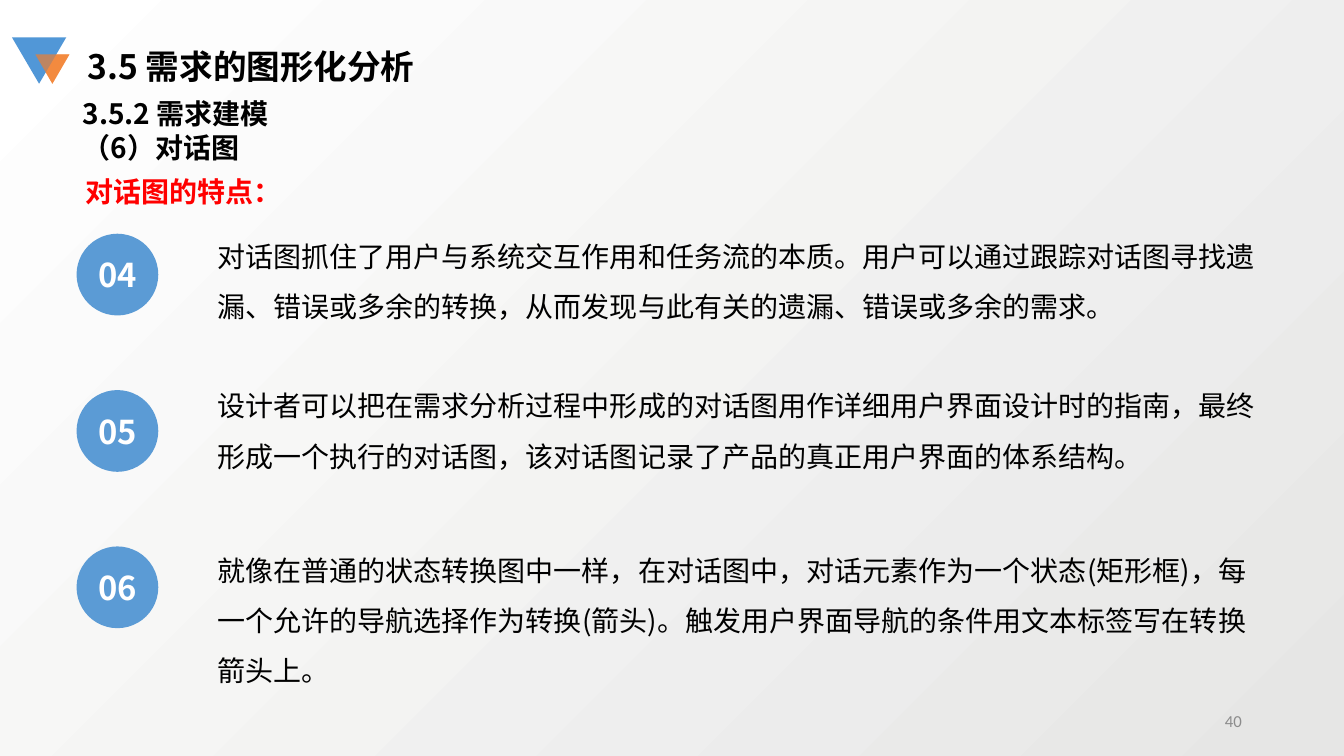
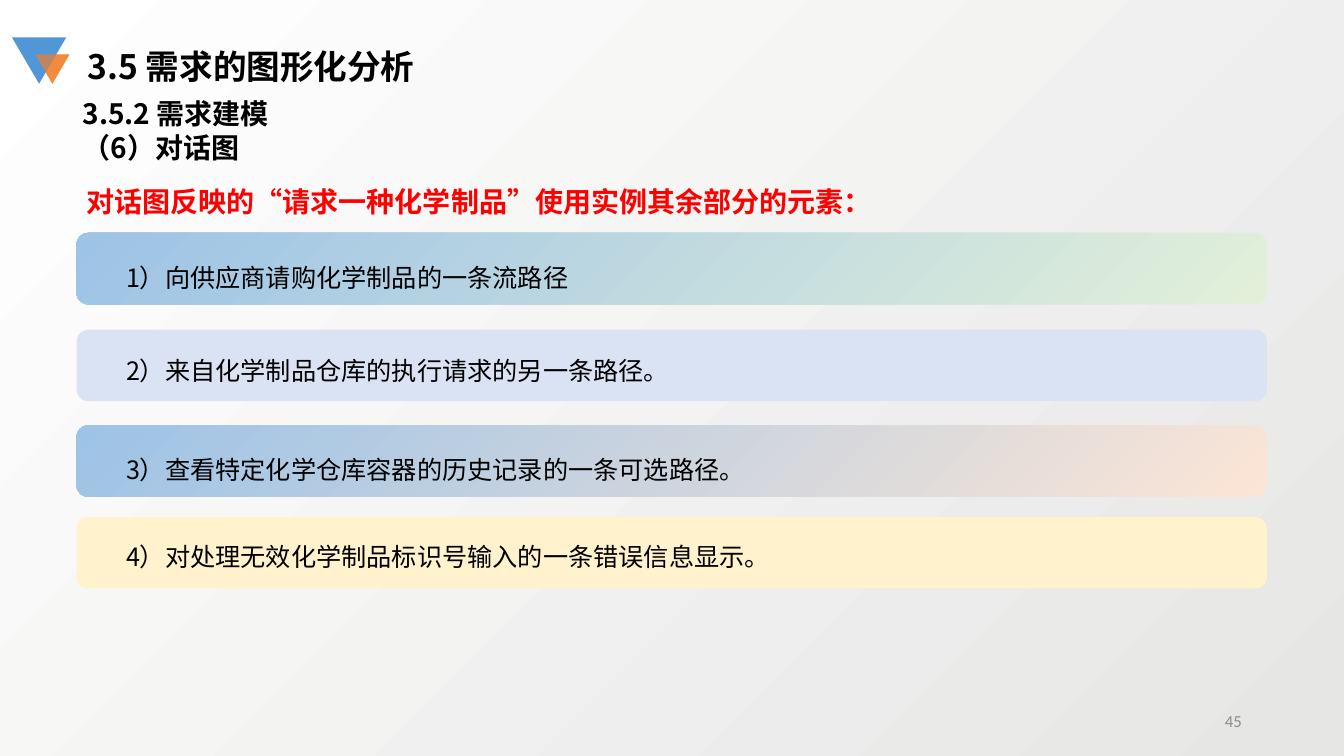
from dataclasses import dataclass

from lxml.etree import SubElement
from pptx import Presentation
from pptx.dml.color import RGBColor
from pptx.enum.shapes import MSO_SHAPE
from pptx.enum.text import MSO_ANCHOR, MSO_AUTO_SIZE, PP_ALIGN
from pptx.oxml.ns import qn
from pptx.util import Cm, Pt


@dataclass(frozen=True)
class Theme:
    font: str = "Noto Sans CJK SC"
    number_font: str = "Calibri"
    black: str = "000000"
    white: str = "FFFFFF"
    red: str = "FF0000"
    gray: str = "8C8C8C"
    circle: str = "5B9BD5"
    mark_blue: str = "5197D7"
    mark_orange: str = "F37D2A"
    backdrop: tuple = ("E6E6E5", "FFFFFF")
    green_bar: tuple = ("E2F0D9", "9DC3E6")
    blue_bar: str = "DAE3F3"
    orange_bar: tuple = ("FBE5D6", "9DC3E6")
    yellow_bar: str = "FFF2CC"
    title_size: float = 24
    body_size: float = 20
    bar_size: float = 18
    circle_size: float = 23.4
    number_size: float = 12


THEME = Theme()
MARGIN_LEFT = 1.93
CONTENT_WIDTH = 30

FEATURES_TOP = 5.89
FEATURES_STEP = 3.94
CIRCLE_SIZE = 2.06
# number, top of the text, text
FEATURES = [
    ("04", 5.49, "对话图抓住了用户与系统交互作用和任务流的本质。用户可以通过跟踪对话图寻找遗漏、"
                 "错误或多余的转换，从而发现与此有关的遗漏、错误或多余的需求。"),
    ("05", 9.25, "设计者可以把在需求分析过程中形成的对话图用作详细用户界面设计时的指南，"
                 "最终形成一个执行的对话图，该对话图记录了产品的真正用户界面的体系结构。"),
    ("06", 13.39, "就像在普通的状态转换图中一样，在对话图中，对话元素作为一个状态(矩形框)，"
                  "每一个允许的导航选择作为转换(箭头)。触发用户界面导航的条件用文本标签写在转换箭头上。"),
]

BAR_HEIGHT = 1.8
# top, space above the text, fill, text
BARS = [
    (5.87, 0.5, THEME.green_bar, "1）向供应商请购化学制品的一条流路径"),
    (8.31, 0.4, THEME.blue_bar, "2）来自化学制品仓库的执行请求的另一条路径。"),
    (10.72, 0.5, THEME.orange_bar, "3）查看特定化学仓库容器的历史记录的一条可选路径。"),
    (13.03, 0.37, THEME.yellow_bar, "4）对处理无效化学制品标识号输入的一条错误信息显示。"),
]


def set_values(target, values):
    for name, value in values.items():
        setattr(target, name, value)


def paint(fill, color):
    """Fill with one colour, or with a (bottom right, top left) pair."""
    if isinstance(color, str):
        fill.solid()
        fill.fore_color.rgb = RGBColor.from_string(color)
        return
    fill.gradient()
    fill.gradient_angle = 135
    for stop, stop_color in zip(fill.gradient_stops, color):
        stop.color.rgb = RGBColor.from_string(stop_color)


def write(box, lines, size, color=THEME.black, bold=False, font=THEME.font,
          paragraph_format=None, frame_format=None):
    frame = box.text_frame
    set_values(frame, {"word_wrap": True, **(frame_format or {})})
    for index, line in enumerate(lines):
        para = frame.add_paragraph() if index else frame.paragraphs[0]
        set_values(para, {"alignment": PP_ALIGN.LEFT, **(paragraph_format or {})})
        span = para.add_run()
        span.text = line
        set_values(span.font, {"name": font, "size": Pt(size), "bold": bold})
        span.font.color.rgb = RGBColor.from_string(color)
        properties = span._r.get_or_add_rPr()
        properties.set("lang", "zh-CN")
        SubElement(properties, qn("a:ea")).set("typeface", font)


def add_text(page, left, top, width, height, lines, size, frame_format=None, **style):
    box = page.shapes.add_textbox(Cm(left), Cm(top), Cm(width), Cm(height))
    frame_format = {"auto_size": MSO_AUTO_SIZE.SHAPE_TO_FIT_TEXT, **(frame_format or {})}
    write(box, lines, size, frame_format=frame_format, **style)


def add_figure(page, preset, left, top, width, height, color):
    figure = page.shapes.add_shape(preset, Cm(left), Cm(top), Cm(width), Cm(height))
    figure.shadow.inherit = False
    figure.line.fill.background()
    paint(figure.fill, color)
    return figure


def add_triangle(page, left, top, width, height, color, opacity=100):
    triangle = add_figure(page, MSO_SHAPE.ISOSCELES_TRIANGLE, left, top, width, height, color)
    triangle.rotation = 180
    if opacity < 100:
        color_element = triangle._element.spPr.find(f"{qn('a:solidFill')}/{qn('a:srgbClr')}")
        SubElement(color_element, qn("a:alpha")).set("val", str(opacity * 1000))


def add_mark(page):
    """Blue triangle between two see-through orange ones."""
    orange = (0.89, 1.37, 0.86, 0.74, THEME.mark_orange, 68)
    blue = (0.3, 0.94, 1.37, 1.17, THEME.mark_blue)
    for triangle in (orange, blue, orange):
        add_triangle(page, *triangle)


def add_page(deck, number):
    page = deck.slides.add_slide(deck.slide_layouts[6])
    paint(page.background.fill, THEME.backdrop)
    add_mark(page)
    add_text(page, 1.96, 1.02, 11.23, 1.27, ["3.5 需求的图形化分析"],
             THEME.title_size, bold=True)
    add_text(page, 1.83, 2.31, 21.56, 1.96, ["3.5.2 需求建模", "（6）对话图"],
             THEME.body_size, bold=True)
    add_text(page, 23.93, 17.65, 7.62, 1.02, [number], THEME.number_size,
             color=THEME.gray, font=THEME.number_font,
             paragraph_format={"alignment": PP_ALIGN.RIGHT},
             frame_format={"auto_size": MSO_AUTO_SIZE.NONE,
                           "vertical_anchor": MSO_ANCHOR.MIDDLE})
    return page


def add_feature(page, circle_top, number, text_top, text):
    circle = add_figure(page, MSO_SHAPE.OVAL, MARGIN_LEFT, circle_top,
                        CIRCLE_SIZE, CIRCLE_SIZE, THEME.circle)
    margins = dict.fromkeys(("margin_left", "margin_right", "margin_top", "margin_bottom"), 0)
    write(circle, [number], THEME.circle_size, color=THEME.white, bold=True,
          paragraph_format={"alignment": PP_ALIGN.CENTER},
          frame_format={"vertical_anchor": MSO_ANCHOR.MIDDLE, **margins})
    add_text(page, 5.23, text_top, 26.7, 4.09, [text], THEME.body_size,
             paragraph_format={"line_spacing": 1.5})


def add_bar(page, top, text_space, color, text):
    bar = add_figure(page, MSO_SHAPE.ROUNDED_RECTANGLE, MARGIN_LEFT, top,
                     CONTENT_WIDTH, BAR_HEIGHT, color)
    write(bar, [text], THEME.bar_size,
          paragraph_format={"alignment": PP_ALIGN.JUSTIFY, "line_spacing": 1.2},
          frame_format={"vertical_anchor": MSO_ANCHOR.TOP,
                        "margin_left": Cm(1.16), "margin_top": Cm(text_space),
                        "margin_bottom": 0})


def build_features(deck):
    page = add_page(deck, "40")
    add_text(page, 1.91, 4.27, 16.94, 1.12, ["对话图的特点："], THEME.body_size,
             color=THEME.red, bold=True)
    for index, feature in enumerate(FEATURES):
        add_feature(page, FEATURES_TOP + index * FEATURES_STEP, *feature)


def build_elements(deck):
    page = add_page(deck, "45")
    add_text(page, MARGIN_LEFT, 4.19, CONTENT_WIDTH, 1.35,
             ["对话图反映的“请求一种化学制品”使用实例其余部分的元素："],
             THEME.body_size, color=THEME.red, bold=True,
             paragraph_format={"line_spacing": 1.5},
             frame_format={"vertical_anchor": MSO_ANCHOR.MIDDLE})
    for bar in BARS:
        add_bar(page, *bar)


def main():
    deck = Presentation()
    set_values(deck, {"slide_width": Cm(33.87), "slide_height": Cm(19.05)})
    build_features(deck)
    build_elements(deck)
    deck.save("out.pptx")


if __name__ == "__main__":
    main()
